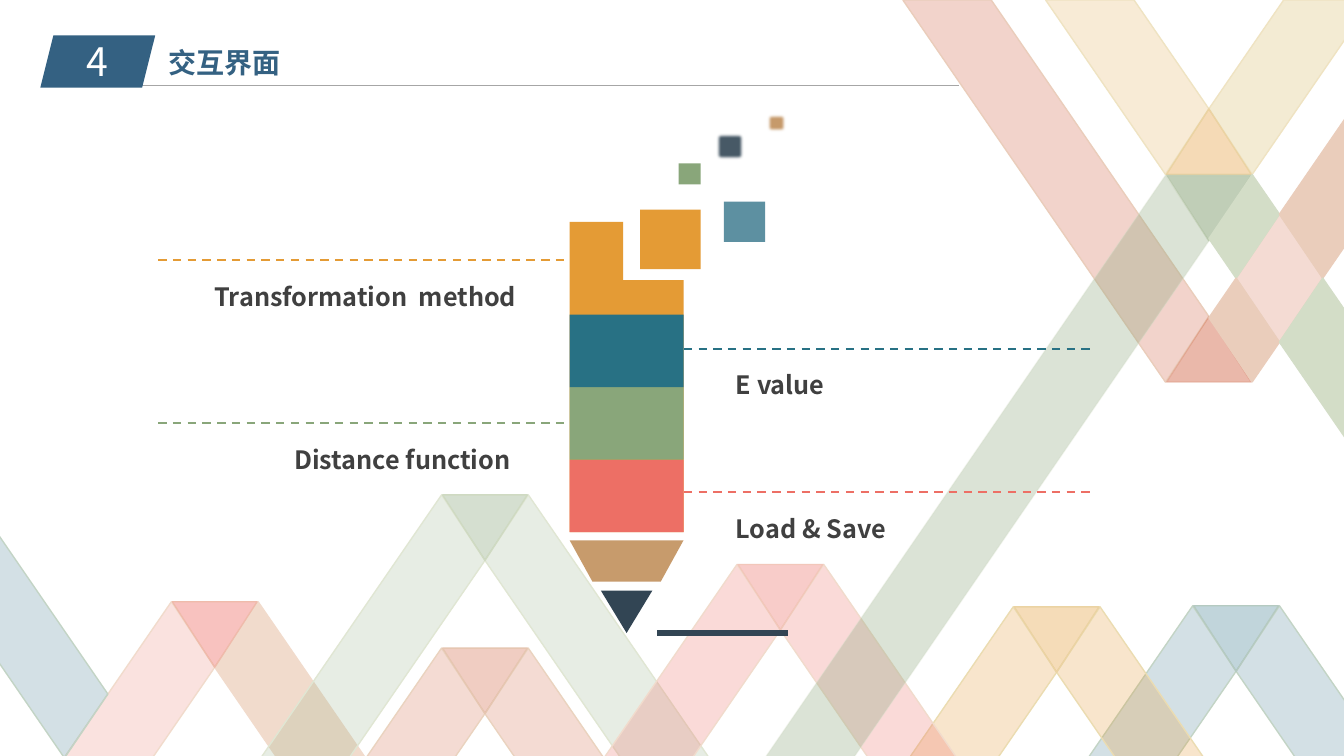
from lxml.etree import SubElement
from pptx import Presentation
from pptx.dml.color import RGBColor
from pptx.enum.dml import MSO_LINE
from pptx.enum.shapes import MSO_CONNECTOR, MSO_SHAPE
from pptx.enum.text import MSO_ANCHOR, MSO_AUTO_SIZE, PP_ALIGN
from pptx.oxml.ns import qn
from pptx.util import Inches, Pt

THEME = {
    "font": "Noto Sans CJK SC",
    "title size": 20, "number size": 28, "label size": 18,
    "blue": "346182", "white": "FFFFFF", "text": "404040", "grey": "A6A6A6",
    "orange": "E49B35", "teal": "287184", "green": "89A67A", "coral": "ED6F65",
    "wood": "C79B6C", "lead": "324554", "sky": "508799", "red": "ED5249",
    "sage": "88A378", "leaf": "A2B894", "rust": "D57053", "honey": "E7B05E",
    "shell": "EE8F82", "blush": "F1DBCC", "peach": "EAD3BF", "clay": "EACDBB",
    "sand": "EFE3C2", "straw": "EBDCB1", "amber": "EBD3A3", "mint": "E0E6D3",
    "lime": "D3DDC7", "mist": "C3D4C5", "haze": "B5CAC1", "moss": "B3C4A5",
    "salmon": "DF9B83", "rose": "EFBBAB", "dune": "E6C6B1", "petal": "F2C7BA",
    "fern": "CFDAC2",
}


def tint(shape, tag, colour, opacity=100):
    fill = shape.fill if tag == "a:solidFill" else shape.line.fill
    fill.solid()
    fill.fore_color.rgb = RGBColor.from_string(THEME[colour])
    if opacity < 100:
        colour_node = next(shape._element.spPr.find(qn(tag)).iter(qn("a:srgbClr")))
        SubElement(colour_node, qn("a:alpha"), val=str(opacity * 1000))


def write(box, text, size, colour, bold, align, spacing):
    frame = box.text_frame
    para = frame.paragraphs[0]
    span = para.add_run()
    span.text = text
    formats = [
        (frame, {"word_wrap": True, "auto_size": MSO_AUTO_SIZE.NONE, "vertical_anchor": MSO_ANCHOR.TOP}),
        (para, {"alignment": align, "line_spacing": spacing, "space_before": Pt(0)}),
        (span.font, {"name": THEME["font"], "size": Pt(THEME[size]), "bold": bold}),
    ]
    for target, values in formats:
        for name, value in values.items():
            setattr(target, name, value)
    span.font.color.rgb = RGBColor.from_string(THEME[colour])
    SubElement(span._r.get_or_add_rPr(), qn("a:ea"), typeface=THEME["font"])


deck = Presentation()
deck.slide_width, deck.slide_height = Inches(13.33), Inches(7.5)
page = deck.slides.add_slide(deck.slide_layouts[5])
shapes = page.shapes

title = shapes.title
for name, value in {"left": 1.57, "top": 0.23, "width": 1.63, "height": 0.56}.items():
    setattr(title, name, Inches(value))
write(title, "交互界面", "title size", "blue", True, PP_ALIGN.LEFT, 1.5)

slope = 1.455
leg_half, fold_half, fold_depth = 0.43, 0.42, 0.65
left_limit, right_limit = -0.04, 13.35
polygons = []

chevrons = [
    {"centre": 2.13, "edge": 5.97, "end": 7.54, "fold": ("red", 35, "rose"),
     "left": ("shell", 25, "blush"), "right": ("blush", 100, "blush")},
    {"centre": 4.81, "edge": 4.91, "end": 7.55, "fold": ("green", 35, "fern"),
     "left": ("leaf", 25, "mint"), "right": ("leaf", 25, "mint")},
    {"centre": 4.81, "edge": 6.43, "end": 7.54, "fold": ("rust", 35, "dune"),
     "left": ("rust", 25, "peach"), "right": ("rust", 25, "peach")},
    {"centre": 12.26, "edge": 6.01, "end": 7.52, "fold": ("sky", 35, "haze"),
     "left": ("sky", 25, "mist"), "right": ("sky", 25, "mist")},
    {"centre": 10.48, "edge": 6.02, "end": 7.55, "fold": ("orange", 35, "amber"),
     "left": ("orange", 25, "straw"), "right": ("orange", 25, "straw")},
    {"centre": 7.74, "edge": 5.6, "end": 7.54, "fold": ("coral", 35, "petal"),
     "left": ("coral", 25, "blush"), "right": ("coral", 25, "blush")},
    {"centre": 11.99, "edge": 1.73, "end": 0, "fold": ("orange", 36, "amber"),
     "left": ("honey", 25, "sand"), "right": ("sand", 71, "sand")},
    {"centre": 11.99, "edge": 3.79, "end": 0, "fold": ("rust", 49, "salmon", 49),
     "left": ("rust", 30, "clay")},
    {"centre": 11.99, "edge": 1.74, "end": 7.54, "fold": ("sage", 53, "moss", 53),
     "left": ("sage", 30, "lime", 30)},
]
for chevron in chevrons:
    centre, edge, end = chevron["centre"], chevron["edge"], chevron["end"]
    tip = edge + fold_depth if end > edge else edge - fold_depth
    for side, sign in (("left", -1), ("right", 1)):
        if side in chevron:
            outer = centre + sign * leg_half
            leg = [
                (outer, edge),
                (centre, tip),
                (centre + sign * abs(end - tip) / slope, end),
                (outer + sign * abs(end - edge) / slope, end),
            ]
            polygons.append((leg, chevron[side]))
    fold = [(centre - fold_half, edge), (centre + fold_half, edge), (centre, tip)]
    polygons.append((fold, chevron["fold"]))

cross_x, cross_y, cross_half, cross_height = 12.69, 2.76, 0.43, 0.635
diamond = [
    (cross_x, cross_y - cross_height), (cross_x + cross_half, cross_y),
    (cross_x, cross_y + cross_height), (cross_x - cross_half, cross_y),
]
polygons.append((diamond, ("rust", 25, "peach")))
arms = [
    (cross_x, cross_y, -1, -1, 0.27, ("lime", 100, "lime")),
    (cross_x, cross_y, -1, 1, 0.27, ("clay", 100, "clay")),
    (cross_x, cross_y, 1, -1, 0.7, ("clay", 100, "clay")),
    (cross_x, cross_y, 1, 1, 0.7, ("lime", 100, "lime")),
    (1.07, 7.52, -1, -1, 1.2, ("sky", 25, "mist")),
]
for x, y, across, down, run, finish in arms:
    shift_x, shift_y = across * run, down * run * slope
    inner = [(x, y + down * cross_height), (x + across * cross_half, y)]
    outer = [(corner_x + shift_x, corner_y + shift_y) for corner_x, corner_y in reversed(inner)]
    polygons.append((inner + outer, finish))

pencil_left, pencil_top, pencil_width = 5.65, 2.2, 1.13
pencil_right, pencil_bottom = pencil_left + pencil_width, 5.28
notch_x, notch_y = 6.18, 2.78
pencil = [
    (pencil_left, pencil_top), (notch_x, pencil_top), (notch_x, notch_y),
    (pencil_right, notch_y), (pencil_right, pencil_bottom), (pencil_left, pencil_bottom),
]
polygons.append((pencil, ("orange", 100, None)))

for points, (colour, opacity, border, *border_opacity) in polygons:
    for limit, inward in ((left_limit, 1), (right_limit, -1)):
        kept = []
        for (x, y), (next_x, next_y) in zip(points, points[1:] + points[:1]):
            inside, next_inside = (x - limit) * inward >= 0, (next_x - limit) * inward >= 0
            if inside:
                kept.append((x, y))
            if inside != next_inside:
                kept.append((limit, y + (next_y - y) * (limit - x) / (next_x - x)))
        points = kept
    corners = [(Inches(x), Inches(y)) for x, y in points]
    builder = shapes.build_freeform(*corners[0])
    builder.add_line_segments(corners[1:], close=True)
    outline = builder.convert_to_shape()
    outline.shadow.inherit = False
    tint(outline, "a:solidFill", colour, opacity)
    if border:
        tint(outline, "a:ln", border, *border_opacity)
        outline.line.width = Pt(1)
    else:
        outline.line.fill.background()

lines = [
    (0.87, 9.51, 0.85, "grey", 0.5, MSO_LINE.SOLID),
    (6.52, 7.82, 6.28, "lead", 4.5, MSO_LINE.SOLID),
]
labels = [("4", 0.41, 0.32, 1.12, 0.57, "number size", "white", False, PP_ALIGN.CENTER, 1.0)]
callout_sides = {"left": (1.57, 5.91, 1.19, PP_ALIGN.RIGHT), "right": (6.49, 10.83, 7.2, PP_ALIGN.LEFT)}
callouts = [
    ("Transformation  method", "left", 2.58, "orange"),
    ("Distance function ", "left", 4.2, "green"),
    ("E value", "right", 3.46, "teal"),
    ("Load & Save", "right", 4.88, "coral"),
]
for text, side, y, colour in callouts:
    start, end, label_left, align = callout_sides[side]
    lines.append((start, end, y, colour, 1.5, MSO_LINE.DASH))
    labels.append((text, label_left, y + 0.07, 4.03, 0.46, "label size", "text", True, align, 1.3))

for start, end, y, colour, weight, dash in lines:
    rule = shapes.add_connector(MSO_CONNECTOR.STRAIGHT, Inches(start), Inches(y), Inches(end), Inches(y))
    tint(rule, "a:ln", colour)
    rule.line.width = Pt(weight)
    rule.line.dash_style = dash
    SubElement(rule._element.spPr, qn("a:effectLst"))

pieces = [
    (MSO_SHAPE.PARALLELOGRAM, 0.4, 0.35, 1.14, 0.52, "blue", 100),
    (MSO_SHAPE.FLOWCHART_MERGE, 5.96, 5.86, 0.51, 0.42, "lead", 100),
    (MSO_SHAPE.FLOWCHART_MANUAL_OPERATION, pencil_left, 5.36, pencil_width, 0.41, "wood", 100),
]
squares = [
    (6.35, 2.08, 0.6, "orange", 100), (6.73, 1.62, 0.22, "green", 100), (7.59, 1.12, 0.22, "wood", 100),
    (7.09, 1.31, 0.3, "lead", 89), (7.18, 2, 0.41, "sky", 92),
]
for left, top, size, colour, opacity in squares:
    pieces.append((MSO_SHAPE.RECTANGLE, left, top, size, size - 0.01, colour, opacity))
blurred_tops = (1.12, 1.31)
block_height = 0.72
for row, colour in enumerate(["coral", "green", "teal"], start=1):
    top = pencil_bottom - row * block_height
    pieces.append((MSO_SHAPE.RECTANGLE, pencil_left, top, pencil_width, block_height, colour, 100))

for kind, left, top, width, height, colour, opacity in pieces:
    piece = shapes.add_shape(kind, Inches(left), Inches(top), Inches(width), Inches(height))
    piece.shadow.inherit = False
    piece.line.fill.background()
    tint(piece, "a:solidFill", colour, opacity)
    if top in blurred_tops:
        SubElement(piece._element.spPr.find(qn("a:effectLst")), qn("a:softEdge"), rad=str(Pt(2.5)))

for text, left, top, width, height, *style in labels:
    box = shapes.add_textbox(Inches(left), Inches(top), Inches(width), Inches(height))
    write(box, text, *style)

deck.save("out.pptx")
